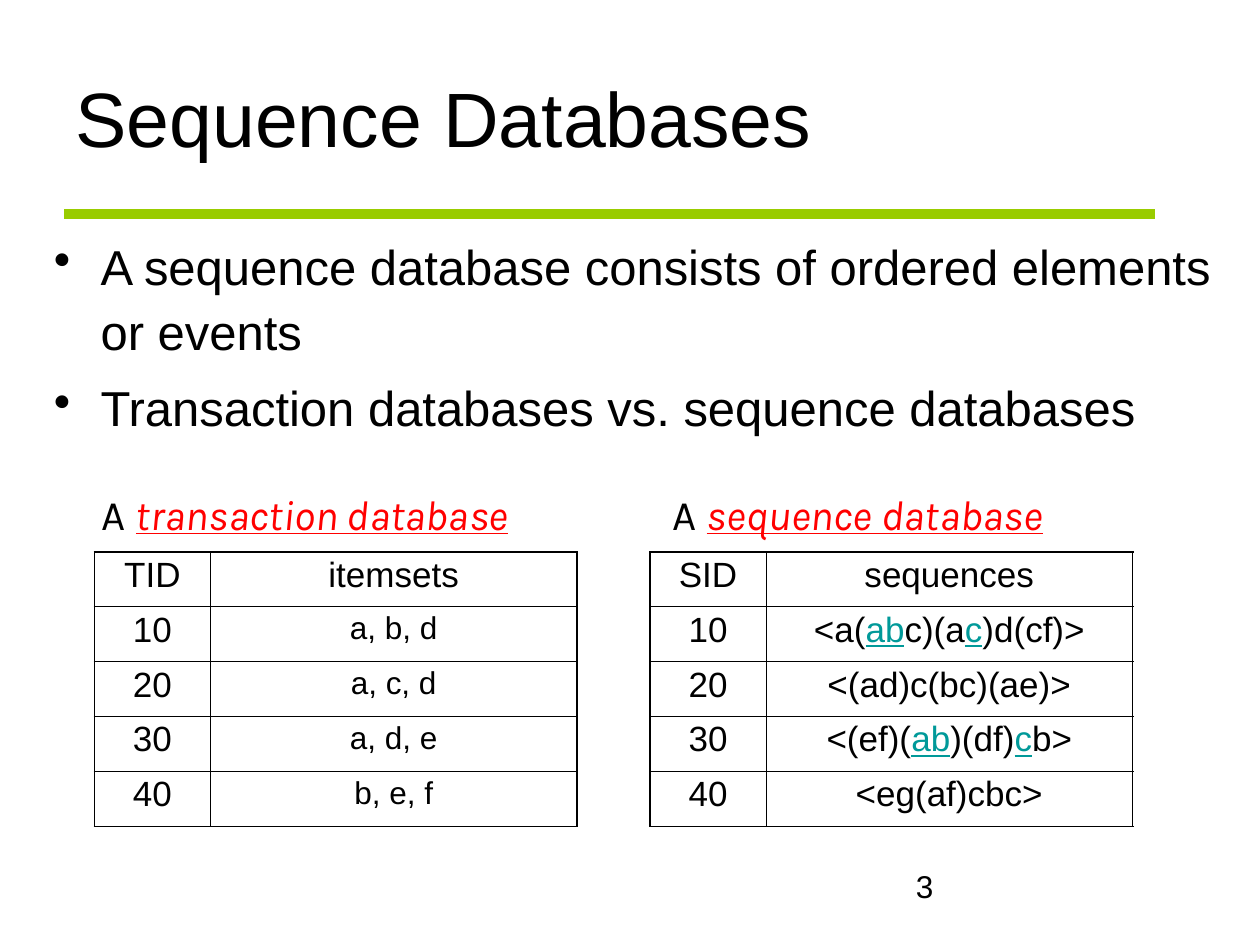
from lxml.etree import SubElement
from pptx import Presentation
from pptx.dml.color import RGBColor
from pptx.enum.shapes import MSO_CONNECTOR
from pptx.enum.text import MSO_ANCHOR, MSO_AUTO_SIZE, PP_ALIGN
from pptx.oxml.ns import qn
from pptx.util import Inches, Pt

BLACK = RGBColor(0x00, 0x00, 0x00)
GREEN = RGBColor(0x99, 0xCC, 0x00)
RED = RGBColor(0xFF, 0x00, 0x00)
TEAL = RGBColor(0x00, 0x99, 0x99)

BASE = dict(name="Arial", size=Pt(28))
CAPTION = dict(name="Karla", size=Pt(24))
CAPTION_MARK = dict(italic=True, underline=True)
CELL_MARK = dict(underline=True)
OUTER, INNER = 1.08, 0.45

TABLES = [
    (0.75, 0.71, 3.73, "A _transaction database_", 18,
     [("TID", "itemsets"), ("10", "a, b, d"), ("20", "a, c, d"),
      ("30", "a, d, e"), ("40", "b, e, f")]),
    (5.16, 5.24, 3.42, "A _sequence database_", 20,
     [("SID", "sequences"), ("10", "<a(_ab_c)(a_c_)d(cf)>"),
      ("20", "<(ad)c(bc)(ae)>"), ("30", "<(ef)(_ab_)(df)_c_b>"),
      ("40", "<eg(af)cbc>")]),
]


def add_runs(p, text, style, mark=None, mark_color=BLACK):
    """Write text; parts between underscores also take the mark style."""
    for i, part in enumerate(text.split("_")):
        if not part:
            continue
        marked = i % 2 == 1
        r = p.add_run()
        r.text = part
        for key, value in {**style, **(mark if marked else {})}.items():
            setattr(r.font, key, value)
        r.font.color.rgb = mark_color if marked else BLACK


def add_box(s, x, y, w, h, wrap=True):
    tf = s.shapes.add_textbox(*map(Inches, (x, y, w, h))).text_frame
    tf.word_wrap = wrap
    return tf


def add_header(s, x, y, w, h):
    # Title
    tf = add_box(s, x, y, w, h)
    tf.vertical_anchor = MSO_ANCHOR.MIDDLE
    add_runs(tf.paragraphs[0], "Sequence Databases", {**BASE, "size": Pt(44)})
    # Rule below the title
    rule_y = Inches(y + h + 0.15)
    line = s.shapes.add_connector(MSO_CONNECTOR.STRAIGHT, Inches(x + 0.01),
                                  rule_y, Inches(9.17), rule_y)
    line.line.color.rgb = GREEN
    line.line.width = Pt(6)
    SubElement(line._element.spPr, qn("a:effectLst"))


def add_bullets(s, x, y, w, h, items):
    tf = add_box(s, x, y, w, h)
    for i, item in enumerate(items):
        p = tf.add_paragraph() if i else tf.paragraphs[0]
        pPr = p._p.get_or_add_pPr()
        pPr.set("marL", str(Inches(0.37)))
        pPr.set("indent", str(Inches(-0.37)))
        SubElement(pPr, qn("a:buChar"), char="•")
        p.line_spacing = 1.1
        p.space_before = Pt(7 if i else 0)
        add_runs(p, item, BASE)


def set_borders(cell, widths):
    tcPr = cell._tc.get_or_add_tcPr()
    for side, width in widths.items():
        ln = SubElement(tcPr, qn(f"a:ln{side}"), w=str(Pt(width)))
        fill = SubElement(ln, qn("a:solidFill"))
        SubElement(fill, qn("a:srgbClr"), val=str(BLACK))


def add_database(s, x, y, w, h, rows, value_size):
    last = len(rows) - 1
    frame = s.shapes.add_table(len(rows), 2, *map(Inches, (x, y, w, h)))
    table = frame.table
    table.first_row = table.horz_banding = False
    for column, share in zip(table.columns, (0.24, 0.76)):
        column.width = Inches(w * share)
    for i, row in enumerate(rows):
        for j, text in enumerate(row):
            cell = table.cell(i, j)
            set_borders(cell, {"L": INNER if j else OUTER,
                               "R": OUTER if j else INNER,
                               "T": INNER if i else OUTER,
                               "B": OUTER if i == last else INNER})
            cell.fill.background()
            p = cell.text_frame.paragraphs[0]
            p.alignment = PP_ALIGN.CENTER
            p.line_spacing = 0.93
            size = Pt(value_size if i and j else 20)
            add_runs(p, text, {**BASE, "size": size}, CELL_MARK, TEAL)


def add_caption(s, x, y, w, h, text):
    tf = add_box(s, x, y, w, h, wrap=False)
    tf.auto_size = MSO_AUTO_SIZE.SHAPE_TO_FIT_TEXT
    add_runs(tf.paragraphs[0], text, CAPTION, CAPTION_MARK, RED)


def main():
    prs = Presentation()
    prs.slide_width, prs.slide_height = Inches(10), Inches(7.5)
    s = prs.slides.add_slide(prs.slide_layouts[6])

    add_header(s, 0.5, 0.3, 8.97, 1.25)
    add_bullets(s, 0.33, 1.78, 9.5, 4.88, [
        "A sequence database consists of ordered elements or events",
        "Transaction databases vs. sequence databases"])
    # Captioned tables side by side
    for x, caption_x, caption_w, caption, value_size, rows in TABLES:
        add_caption(s, caption_x, 3.83, caption_w, 0.5, caption)
        add_database(s, x, 4.38, 3.83, 2.18, rows, value_size)
    # Slide number
    tf = add_box(s, 7.17, 6.83, 2.33, 0.52)
    add_runs(tf.paragraphs[0], "3", {**BASE, "size": Pt(18)})

    prs.save("out.pptx")


if __name__ == "__main__":
    main()
